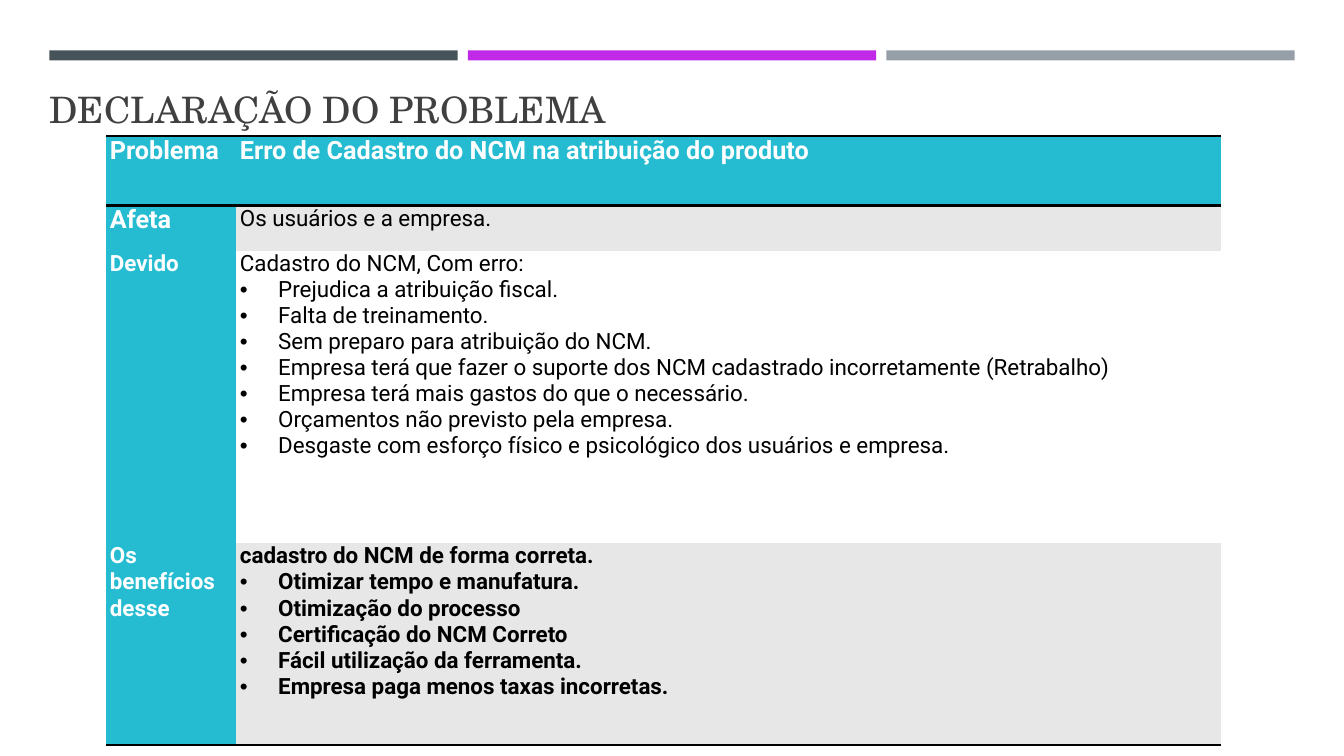
from lxml import etree
from pptx import Presentation
from pptx.dml.color import RGBColor
from pptx.enum import shapes, text
from pptx.oxml import ns
from pptx.util import Inches, Pt

# Content
TITLE = "DECLARAÇÃO DO PROBLEMA"
# Each row: height, label, label size, lead, lead size, bold, bullets
ROWS = [
    (0.69, "Problema", 18, "Erro de Cadastro do NCM na atribuição do produto", 18, True, []),
    (0.45, "Afeta", 18, "Os usuários e a empresa.", 16, False, []),
    (2.9, "Devido", 16, "Cadastro do NCM, Com erro:", 16, False, [
        "Prejudica a atribuição fiscal.",
        "Falta de treinamento.",
        "Sem preparo para atribuição do NCM.",
        "Empresa terá que fazer o suporte dos NCM cadastrado incorretamente (Retrabalho)",
        "Empresa terá mais gastos do que o necessário.",
        "Orçamentos não previsto pela empresa.",
        "Desgaste com esforço físico e psicológico dos usuários e empresa.",
    ]),
    (2.0, "Os benefícios desse", 16, "cadastro do NCM de forma correta.", 16, True, [
        "Otimizar tempo e manufatura.",
        "Otimização do processo",
        "Certificação do NCM Correto",
        "Fácil utilização da ferramenta.",
        "Empresa paga menos taxas incorretas.",
    ]),
]
COLS = [1.29, 9.77]

# Colours and fonts
WHITE, BLACK = RGBColor(255, 255, 255), RGBColor(0, 0, 0)
TEAL, GRAY = RGBColor(0x25, 0xBC, 0xD2), RGBColor(0xE7, 0xE7, 0xE7)
INK = RGBColor(0x40, 0x40, 0x40)
BARS = [RGBColor(0x46, 0x53, 0x59), RGBColor(0xC0, 0x29, 0xE7), RGBColor(0x96, 0x9F, 0xA7)]
ROW_FILLS = [TEAL, GRAY, WHITE, GRAY]
HEAD_FONT, BODY_FONT = "TeX Gyre Schola", "Roboto"
NO_GRID = "{2D5ABB26-0587-4C30-8999-92F81FD0307C}"


def write(p, words, size, color, font=BODY_FONT, bold=False, bullet=False):
    p.alignment = text.PP_ALIGN.LEFT
    r = p.add_run()
    r.text = words
    r.font.name, r.font.size, r.font.bold = font, Pt(size), bold
    r.font.color.rgb = color
    if bullet:
        pPr = p._p.get_or_add_pPr()
        pPr.set("marL", str(Inches(0.38)))
        pPr.set("indent", str(-Inches(0.38)))
        etree.SubElement(pPr, ns.qn("a:buFont")).set("typeface", "Arial")
        etree.SubElement(pPr, ns.qn("a:buChar")).set("char", "•")


def add_rules(cell, *sides):
    """Draw black rules; lines must come before the fill in the cell."""
    tcPr = cell._tc.get_or_add_tcPr()
    for i, side in enumerate(sides):
        ln = etree.Element(ns.qn("a:ln" + side), w=str(Pt(2)))
        fill = etree.SubElement(ln, ns.qn("a:solidFill"))
        etree.SubElement(fill, ns.qn("a:srgbClr")).set("val", str(BLACK))
        tcPr.insert(i, ln)


prs = Presentation()
prs.slide_width, prs.slide_height = Inches(13.33), Inches(7.5)
s = prs.slides.add_slide(prs.slide_layouts[5])

# Colour bars
for i, color in enumerate(BARS):
    bar = s.shapes.add_shape(shapes.MSO_SHAPE.RECTANGLE, Inches(0.49 + 4.15 * i),
                             Inches(0.5), Inches(4.05), Inches(0.1))
    bar.shadow.inherit = False
    bar.fill.solid()
    bar.fill.fore_color.rgb = color
    bar.line.fill.background()

# Title
title = s.shapes.title
title.left, title.top, title.width, title.height = map(Inches, (0.39, 0.27, 12.06, 1.08))
tf = title.text_frame
tf.word_wrap, tf.auto_size = True, text.MSO_AUTO_SIZE.NONE
tf.vertical_anchor = text.MSO_ANCHOR.BOTTOM
write(tf.paragraphs[0], TITLE, 26, INK, font=HEAD_FONT)

# Problem table
frame = s.shapes.add_table(len(ROWS), len(COLS), Inches(1.05), Inches(1.35),
                           Inches(sum(COLS)), Inches(sum(row[0] for row in ROWS)))
table = frame.table
table._tbl.tblPr.find(ns.qn("a:tableStyleId")).text = NO_GRID
table.first_row = table.horz_banding = False
for col, width in zip(table.columns, COLS):
    col.width = Inches(width)

for i, (height, label, label_size, lead, size, bold, bullets) in enumerate(ROWS):
    table.rows[i].height = Inches(height)
    left, right = table.cell(i, 0), table.cell(i, 1)
    for cell, color in ((left, TEAL), (right, ROW_FILLS[i])):
        cell.margin_left = cell.margin_right = Inches(0.04)
        cell.margin_top = cell.margin_bottom = 0
        cell.fill.solid()
        cell.fill.fore_color.rgb = color
        if i == 0:
            add_rules(cell, "T", "B")
        elif i == len(ROWS) - 1:
            add_rules(cell, "B")
    ink = WHITE if i == 0 else BLACK
    write(left.text_frame.paragraphs[0], label, label_size, WHITE, bold=True)
    write(right.text_frame.paragraphs[0], lead, size, ink, bold=bold)
    for words in bullets:
        write(right.text_frame.add_paragraph(), words, size, ink, bold=bold, bullet=True)

prs.save("out.pptx")
